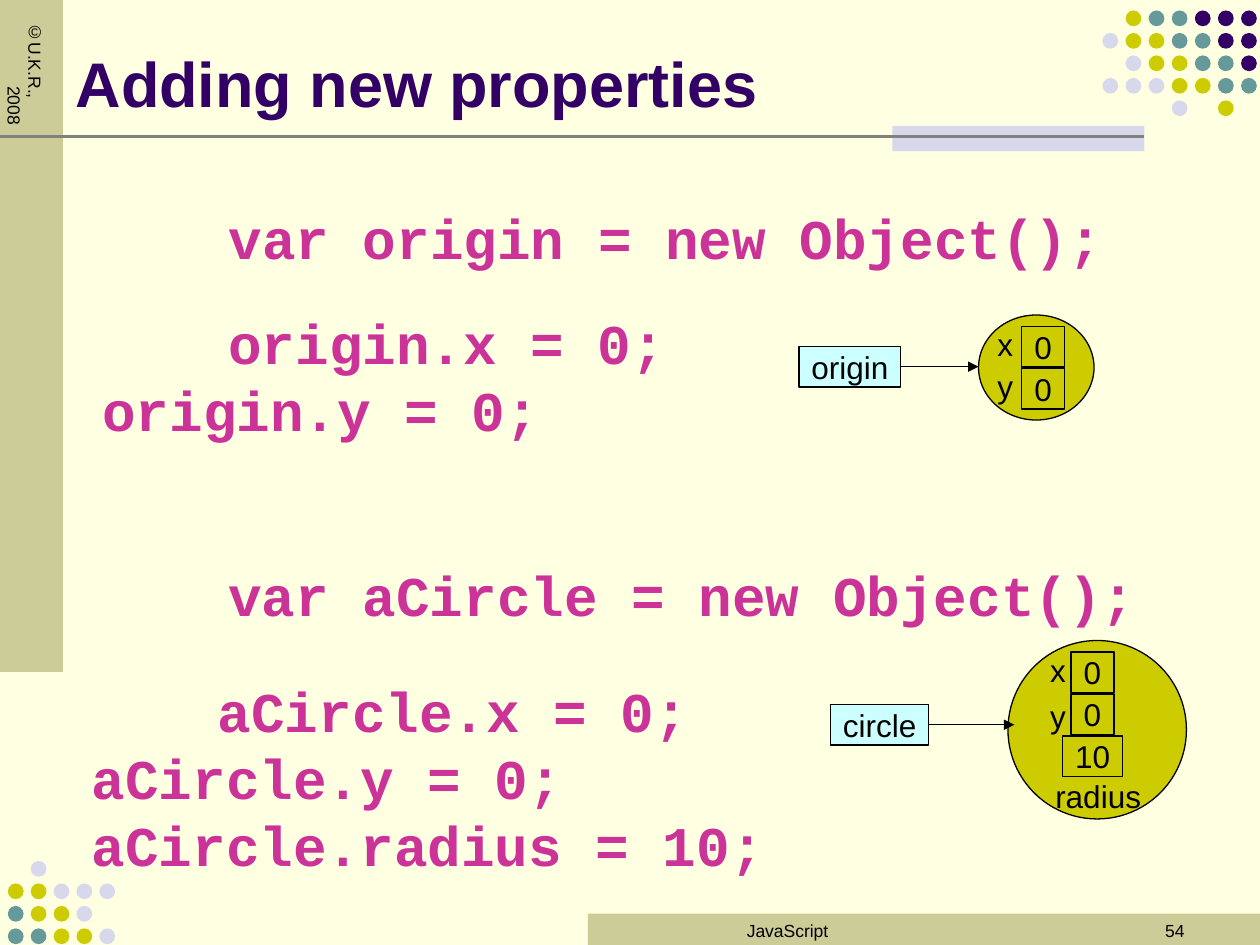
from pptx import Presentation
from pptx.dml.color import RGBColor
from pptx.enum.shapes import MSO_CONNECTOR, MSO_SHAPE
from pptx.enum.text import MSO_ANCHOR, MSO_AUTO_SIZE, PP_ALIGN
from pptx.oxml.ns import qn
from pptx.util import Inches, Pt
from lxml.etree import SubElement

COLORS = {
    "paper": "FFFFE1", "khaki": "CCCC99", "purple": "330066", "teal": "669999",
    "olive": "CCCC00", "lilac": "D8D8EC", "gray": "808080", "code": "CC3399",
    "name": "CCFFFF", "black": "000000",
}
DOTS = {"P": "purple", "T": "teal", "Y": "olive", "L": "lilac"}
TOP_DOTS = [" YTTPPP", "LYYTTPP", " LYYTTP", "LLLYYTT", "   L Y "]
BOTTOM_DOTS = [" L", "YYLLL", "TYYL", "TTYYL"]
CELL = Inches(1) / 12


def grid(*cells):
    return [round(cell * CELL) for cell in cells]


def color(name):
    return RGBColor.from_string(COLORS[name])


def add_block(page, place, fill, kind=MSO_SHAPE.RECTANGLE, outlined=False):
    block = page.shapes.add_shape(kind, *grid(*place))
    block.shadow.inherit = False
    block.fill.solid()
    block.fill.fore_color.rgb = color(fill)
    if outlined:
        block.line.color.rgb = color("black")
        block.line.width = Pt(0.75)
    else:
        block.line.fill.background()
    return block


def add_line(page, start, end, shade, width, arrow=False):
    line = page.shapes.add_connector(MSO_CONNECTOR.STRAIGHT, *grid(*start, *end))
    line.line.color.rgb = color(shade)
    line.line.width = Pt(width)
    if arrow:
        SubElement(line.line._get_or_add_ln(), qn("a:tailEnd"), type="triangle")
    SubElement(line._element.spPr, qn("a:effectLst"))
    return line


def write(box, text, size, shade="black", font="Arial", bold=False,
          align=PP_ALIGN.LEFT, anchor=MSO_ANCHOR.TOP, margins=(0.1, 0.05), wrap=True):
    frame = box.text_frame
    frame.text = text
    frame.word_wrap = wrap
    frame.auto_size = MSO_AUTO_SIZE.NONE
    frame.vertical_anchor = anchor
    frame.margin_left = frame.margin_right = Inches(margins[0])
    frame.margin_top = frame.margin_bottom = Inches(margins[1])
    para = frame.paragraphs[0]
    para.alignment = align
    para.space_before = Pt(0)
    for span in para.runs:
        span.font.name = font
        span.font.size = Pt(size)
        span.font.bold = bold
        span.font.color.rgb = color(shade)
    return para


def set_indent(para, left, first):
    properties = para._p.get_or_add_pPr()
    properties.set("marL", str(Inches(left)))
    properties.set("indent", str(Inches(first)))
    return properties


def move(box, place):
    box.left, box.top, box.width, box.height = grid(*place)


def add_text(page, place, text, size, **style):
    box = page.shapes.add_textbox(*grid(*place))
    write(box, text, size, **style)
    return box


def write_code(box, text):
    para = write(box, text, 32, "code", "Courier New", True)
    box.text_frame.margin_top = Inches(0.12)
    para.line_spacing = Pt(38.3)
    para.space_after = Pt(24)
    SubElement(set_indent(para, 0.38, 1), qn("a:buNone"))


def add_dots(page, left, top, step, rows):
    for row, pattern in enumerate(rows):
        for column, key in enumerate(pattern):
            if key in DOTS:
                place = (left + column * step, top + row * 2.14, 1.5, 1.5)
                add_block(page, place, DOTS[key], MSO_SHAPE.OVAL)


def add_cell(page, place, text, fill):
    cell = add_block(page, place, fill, outlined=True)
    write(cell, text, 18, align=PP_ALIGN.CENTER, anchor=MSO_ANCHOR.MIDDLE,
          margins=(0.1, 0.01), wrap=False)
    return cell


def add_object(page, name, name_place, circle, arrow_end, values, labels):
    add_block(page, circle, "olive", MSO_SHAPE.OVAL, outlined=True)
    name_box = add_cell(page, name_place, name, "name")
    middle = name_place[1] + name_place[3] / 2
    start = (name_place[0] + name_place[2], middle)
    arrow = add_line(page, start, (arrow_end, middle), "black", 0.75, arrow=True)
    arrow.begin_connect(name_box, 3)
    for text, left, top, width in values:
        add_cell(page, (left, top, width, 3.85), text, "olive")
    for text, left, top, width in labels:
        add_text(page, (left, top, width, 3.6), text, 18, margins=(0, 0), wrap=False)


def add_frame(page):
    add_block(page, (56, 87, 64, 3), "khaki")
    add_dots(page, 105, 1, 2.2, TOP_DOTS)
    add_block(page, (0, 0, 6, 64), "khaki")
    add_block(page, (85, 12, 24, 2.4), "lilac")
    add_line(page, (0, 13), (109, 13), "gray", 1.5)
    credit = add_text(page, (3, 1, 2, 13), "©U.K.R., 2008", 10, margins=(0.05, 0.1))
    credit.text_frame._txBody.bodyPr.set("vert", "eaVert")
    set_indent(credit.text_frame.paragraphs[0], 0.5, -0.5)
    add_dots(page, 0.75, 82, 2.18, BOTTOM_DOTS)
    add_text(page, (56, 87, 38, 6), "JavaScript", 10, align=PP_ALIGN.CENTER)
    add_text(page, (86, 87, 28, 6), "54", 10, align=PP_ALIGN.RIGHT)


def main():
    deck = Presentation()
    deck.slide_width, deck.slide_height = grid(120, 90)
    page = deck.slides.add_slide(deck.slide_layouts[1])
    page.background.fill.solid()
    page.background.fill.fore_color.rgb = color("paper")
    add_frame(page)

    title, body = page.placeholders
    move(title, (6, 1.5, 99, 10.5))
    write(title, "Adding new properties", 36, "purple", bold=True, anchor=MSO_ANCHOR.BOTTOM)
    move(body, (4, 18, 116, 9))
    write_code(body, "var origin = new Object();")

    add_object(page, "origin", (76.1, 33, 9.7, 3.85), (93.2, 30, 11, 10), 93.2,
               [("0", 97.3, 31.1, 4.1), ("0", 97.3, 35.1, 4.1)],
               [("x", 95, 31, 1.6), ("y", 95, 35, 1.6)])
    add_object(page, "circle", (79.1, 67.1, 9.35, 3.85), (96, 61, 17, 17), 96.6,
               [("0", 102, 62.1, 4.1), ("0", 102, 66.1, 4.1), ("10", 101.2, 70.1, 5.7)],
               [("x", 100, 62, 1.6), ("y", 100, 66.4, 1.6), ("radius", 100.5, 74, 8.1)])

    for place, code in [
        ((4, 52, 111, 9), "var aCircle = new Object();"),
        ((4, 28, 63, 13), "origin.x = 0;\vorigin.y = 0;"),
        ((3, 63, 85, 20), "aCircle.x = 0;\vaCircle.y = 0;\vaCircle.radius = 10;"),
    ]:
        write_code(page.shapes.add_textbox(*grid(*place)), code)

    deck.save("out.pptx")


if __name__ == "__main__":
    main()
